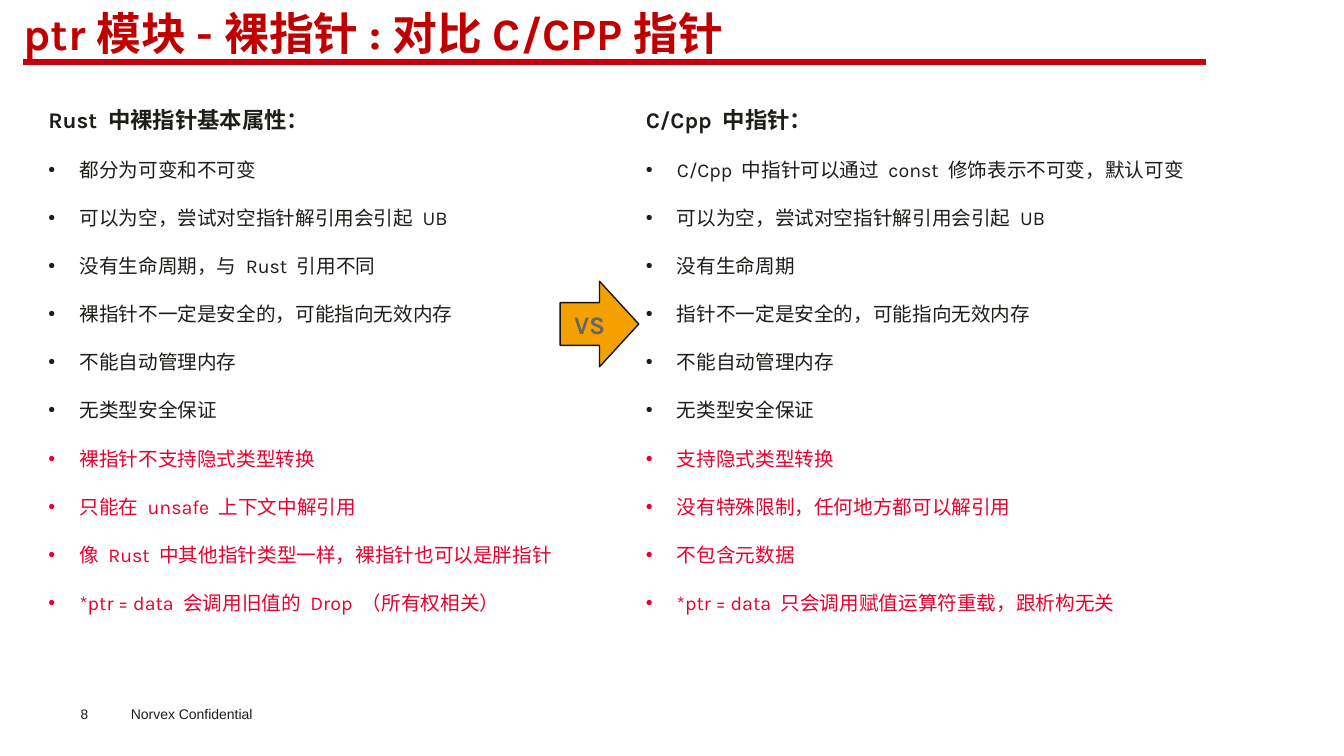
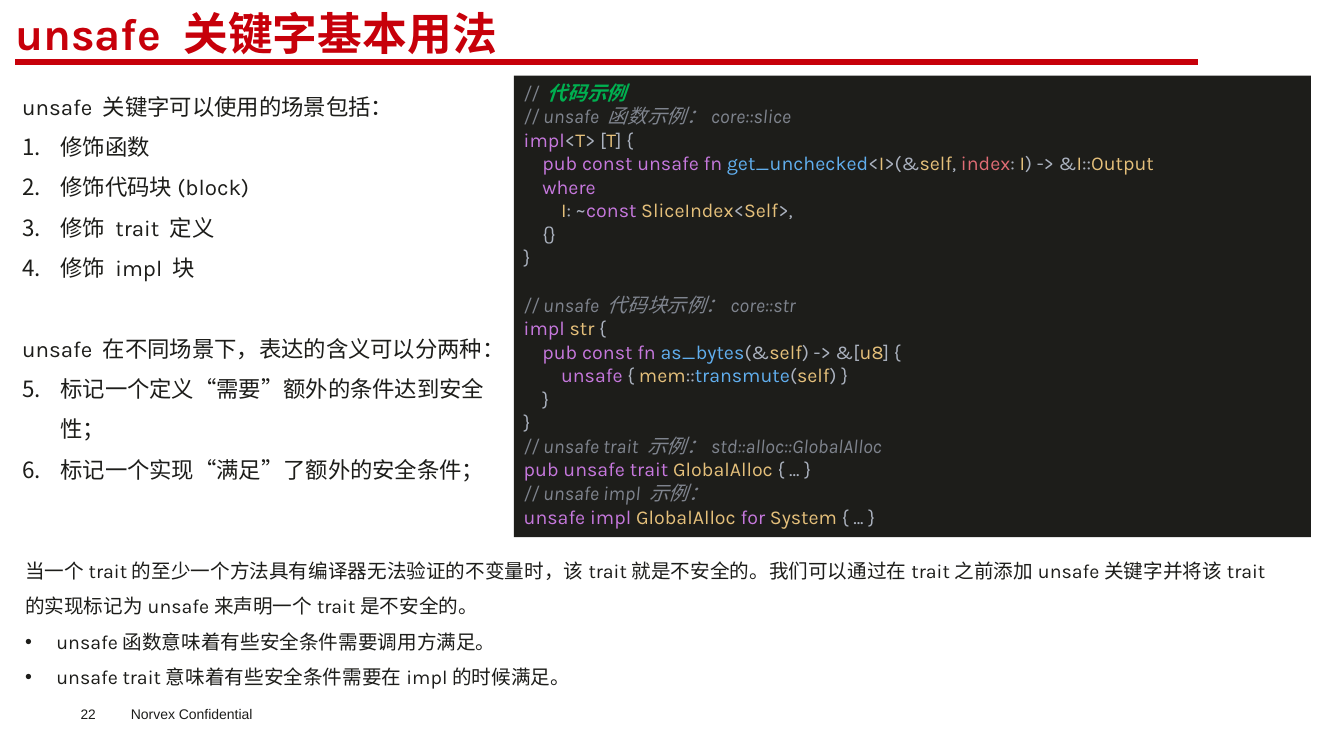
from itertools import groupby

from lxml.etree import SubElement
from pptx import Presentation
from pptx.dml.color import RGBColor
from pptx.enum.lang import MSO_LANGUAGE_ID as Language
from pptx.enum.shapes import MSO_CONNECTOR as Connector, MSO_SHAPE as Shape
from pptx.enum.text import MSO_ANCHOR as Anchor, MSO_AUTO_SIZE as AutoSize, PP_ALIGN as Align
from pptx.oxml.ns import qn
from pptx.util import Inches, Pt

COLOURS = {
    "ink": "1D1D1A", "footer": "1D1D1B", "title": "C00000", "red": "C7000A",
    "accent": "E9002F", "arrow": "F4A100", "outline": "151515", "versus": "666666",
    "comment": "7F848E", "heading": "00B050", "keyword": "C678DD",
    "punctuation": "ABB2BF", "name": "E5C07B", "function": "61AFEF", "parameter": "E06C75",
}
KEYWORDS = {"impl", "pub", "const", "unsafe", "fn", "where", "trait", "for"}
FUNCTIONS = {"get_unchecked", "as_bytes", "transmute"}
PARAMETERS = {"index"}
NO_INSETS = dict(margin_left=0, margin_top=0, margin_right=0, margin_bottom=0)
CODE = """\
// unsafe 函数示例：core::slice
impl<T> [T] {
    pub const unsafe fn get_unchecked<I>(&self, index: I) -> &I::Output
    where
        I: ~const SliceIndex<Self>,
    {}
}

// unsafe 代码块示例：core::str
impl str {
    pub const fn as_bytes(&self) -> &[u8] {
        unsafe { mem::transmute(self) }
    }
}
// unsafe trait 示例：std::alloc::GlobalAlloc
pub unsafe trait GlobalAlloc { ... }
// unsafe impl 示例：
unsafe impl GlobalAlloc for System { ... }"""


def rgb(name):
    """Return the named colour."""
    return RGBColor.from_string(COLOURS[name])


def token_colour(word):
    """Return the colour name of a code token."""
    if not (word[0].isalnum() or word[0] == "_"):
        return "punctuation"
    if word in KEYWORDS:
        return "keyword"
    if word in FUNCTIONS:
        return "function"
    return "parameter" if word in PARAMETERS else "name"


def code_spans(line):
    """Split a code line into coloured spans."""
    if line.startswith("//"):
        return [(line, dict(colour="comment", italic=True))]
    groups = groupby(line, key=lambda sign: sign.isalnum() or sign == "_")
    words = ["".join(signs) for _, signs in groups]
    return [(word, dict(colour=token_colour(word))) for word in words]


class SlideWriter:
    """Hold the style and the current slide, on a grid of 100 columns by 100 rows."""

    def __init__(self):
        """Start an empty deck."""
        self.deck = Presentation()
        self.deck.slide_width, self.deck.slide_height = Inches(13.34), Inches(7.5)
        self.slide = None

    def place(self, *lengths):
        """Turn columns and rows, taken by turns, into lengths."""
        sides = (self.deck.slide_width, self.deck.slide_height)
        return [round(length * sides[i % 2] / 100) for i, length in enumerate(lengths)]

    def new_slide(self, title, page, left, colour):
        """Add a slide with its title, red rule and footer."""
        self.slide = self.deck.slides.add_slide(self.deck.slide_layouts[3])
        frame = self.placeholder(0, (left, 1.47, 88, 6.8), **NO_INSETS)
        self.paragraph(frame, title, spacing=Pt(34.3), size=32, bold=True, colour=colour)
        rule = self.slide.shapes.add_connector(
            Connector.STRAIGHT, *self.place(left, 8.2, left + 88, 8.2))
        rule.line.width = Pt(4.5)
        rule.line.color.rgb = rgb("red")
        SubElement(rule._element.spPr, qn("a:effectLst"))
        self.footer((9, 92.67, 12, 3.6), "Norvex Confidential", 10)
        self.footer((6, 93.33, 4.12, 2.13), page, 9.8, **NO_INSETS)

    def footer(self, area, text, size, **frame_format):
        """Add one footer text."""
        box = self.slide.shapes.add_textbox(*self.place(*area))
        frame = self.set_frame(box, **frame_format)
        self.paragraph(frame, text, size=size, colour="footer", name="Arial")

    def set_frame(self, box, **frame_format):
        """Format the text frame of a box and return it."""
        values = dict(word_wrap=True, auto_size=AutoSize.NONE, vertical_anchor=Anchor.TOP)
        for key, value in (values | frame_format).items():
            setattr(box.text_frame, key, value)
        return box.text_frame

    def placeholder(self, index, area, **frame_format):
        """Move a placeholder and return its text frame."""
        box = self.slide.placeholders[index]
        box.left, box.top, box.width, box.height = self.place(*area)
        return self.set_frame(box, **frame_format)

    def shape(self, kind, area, fill, outline=None, **frame_format):
        """Add a filled shape and return its text frame."""
        box = self.slide.shapes.add_shape(kind, *self.place(*area))
        box.shadow.inherit = False
        box.fill.solid()
        box.fill.fore_color.rgb = rgb(fill)
        if outline:
            box.line.color.rgb = rgb(outline)
            box.line.width = Pt(1)
        else:
            box.line.fill.background()
        return self.set_frame(box, **frame_format)

    def paragraph(self, frame, spans, bullet=None, start=1, hang=0.31, align=Align.LEFT,
                  spacing=1.0, before=0, **font_format):
        """Add a paragraph of plain text or formatted spans."""
        first = frame.paragraphs[0]
        para = frame.add_paragraph() if first.runs else first
        values = dict(alignment=align, line_spacing=spacing, space_before=Pt(before),
                      space_after=Pt(0))
        for key, value in values.items():
            setattr(para, key, value)
        self.bullet(para._p.get_or_add_pPr(), bullet, start, hang)
        for text, extra in [(spans, {})] if isinstance(spans, str) else spans:
            span = para.add_run()
            span.text = text
            self.set_font(span.font, **(font_format | extra))

    def bullet(self, properties, kind, start, hang):
        """Set the bullet, number or lack of both of a paragraph."""
        indent = Inches(hang) if kind else 0
        properties.set("marL", str(indent))
        properties.set("indent", str(-indent))
        if kind == "number":
            SubElement(properties, qn("a:buFontTx"))
            SubElement(properties, qn("a:buAutoNum"), type="arabicPeriod", startAt=str(start))
        elif kind:
            SubElement(properties, qn("a:buChar"), char=kind)
        else:
            SubElement(properties, qn("a:buNone"))

    def set_font(self, font, size=14, colour="ink", **font_format):
        """Format a font."""
        values = dict(name="Karla", size=Pt(size), bold=False, italic=False,
                      language_id=Language.SIMPLIFIED_CHINESE)
        for key, value in (values | font_format).items():
            setattr(font, key, value)
        font.color.rgb = rgb(colour)

    def comparison(self, index, area, heading, shared, different):
        """Fill a column with a heading, shared points and differing points."""
        frame = self.placeholder(index, area)
        spacing = Pt(34.4)
        self.paragraph(frame, heading, spacing=spacing, size=16, bold=True)
        for colour, points in (("ink", shared), ("accent", different)):
            for point in points:
                self.paragraph(frame, point, bullet="•", spacing=spacing, colour=colour)

    def numbered(self, area, sections):
        """Fill a placeholder with lead lines and lists numbered through."""
        frame = self.placeholder(1, area, **NO_INSETS)
        style = dict(spacing=1.5, size=16)
        start = 1
        for lead, points in sections:
            self.paragraph(frame, lead, before=29 if start > 1 else 0, **style)
            for point in points:
                self.paragraph(frame, point, bullet="number", start=start, hang=0.38, **style)
            start += len(points)

    def notes(self, area, lead, points):
        """Fill a placeholder with a lead paragraph and bullets."""
        frame = self.placeholder(2, area)
        self.paragraph(frame, lead, spacing=1.5)
        for point in points:
            self.paragraph(frame, point, bullet="•", spacing=1.5)

    def code(self, area, heading, source):
        """Add a dark panel of highlighted code."""
        frame = self.shape(Shape.RECTANGLE, area, "ink")
        mark = ("// ", dict(colour="comment"))
        title = (heading, dict(colour="heading", bold=True))
        self.paragraph(frame, [mark, title], italic=True)
        gap = 0
        for line in source.splitlines():
            if line:
                self.paragraph(frame, code_spans(line), before=gap)
            gap = 0 if line else 17


def pointer_slide(writer):
    """Build the comparison of pointers."""
    writer.new_slide("ptr模块-裸指针:对比C/CPP指针", "8", 1.72, "title")
    writer.comparison(1, (2.85, 10.53, 39.66, 76.67), "Rust 中裸指针基本属性：", [
        "都分为可变和不可变",
        "可以为空，尝试对空指针解引用会引起 UB",
        "没有生命周期，与 Rust 引用不同",
        "裸指针不一定是安全的，可能指向无效内存",
        "不能自动管理内存",
        "无类型安全保证",
    ], [
        "裸指针不支持隐式类型转换",
        "只能在 unsafe 上下文中解引用",
        "像 Rust 中其他指针类型一样，裸指针也可以是胖指针",
        "*ptr = data 会调用旧值的 Drop （所有权相关）",
    ])
    writer.comparison(2, (47.3, 10.53, 43.55, 76.67), "C/Cpp 中指针：", [
        "C/Cpp 中指针可以通过 const 修饰表示不可变，默认可变",
        "可以为空，尝试对空指针解引用会引起 UB",
        "没有生命周期",
        "指针不一定是安全的，可能指向无效内存",
        "不能自动管理内存",
        "无类型安全保证",
    ], [
        "支持隐式类型转换",
        "没有特殊限制，任何地方都可以解引用",
        "不包含元数据",
        "*ptr = data 只会调用赋值运算符重载，跟析构无关",
    ])
    arrow = writer.shape(Shape.RIGHT_ARROW, (41.68, 37.2, 5.85, 11.33), "arrow", "outline",
                         vertical_anchor=Anchor.MIDDLE)
    writer.paragraph(arrow, "VS", align=Align.CENTER, size=18, bold=True, colour="versus")


def unsafe_slide(writer):
    """Build the slide on the unsafe keyword."""
    writer.new_slide("unsafe 关键字基本用法", "22", 1.12, "red")
    writer.numbered((1.65, 10.53, 36.06, 55.47), [
        ("unsafe 关键字可以使用的场景包括：",
         ["修饰函数", "修饰代码块(block)", "修饰 trait 定义", "修饰 impl 块"]),
        ("unsafe 在不同场景下，表达的含义可以分两种：",
         ["标记一个定义“需要”额外的条件达到安全性；", "标记一个实现“满足”了额外的安全条件；"]),
    ])
    writer.code((38.23, 10, 59.3, 61.07), "代码示例", CODE)
    writer.notes(
        (1.12, 71.73, 94.23, 20.13),
        "当一个trait的至少一个方法具有编译器无法验证的不变量时，该trait就是不安全的。"
        "我们可以通过在trait之前添加unsafe关键字并将该trait的实现标记为unsafe来声明一个trait是不安全的。",
        ["unsafe函数意味着有些安全条件需要调用方满足。",
         "unsafe trait意味着有些安全条件需要在impl的时候满足。"])


def main():
    """Build and save the deck."""
    writer = SlideWriter()
    pointer_slide(writer)
    unsafe_slide(writer)
    writer.deck.save("out.pptx")


if __name__ == "__main__":
    main()
